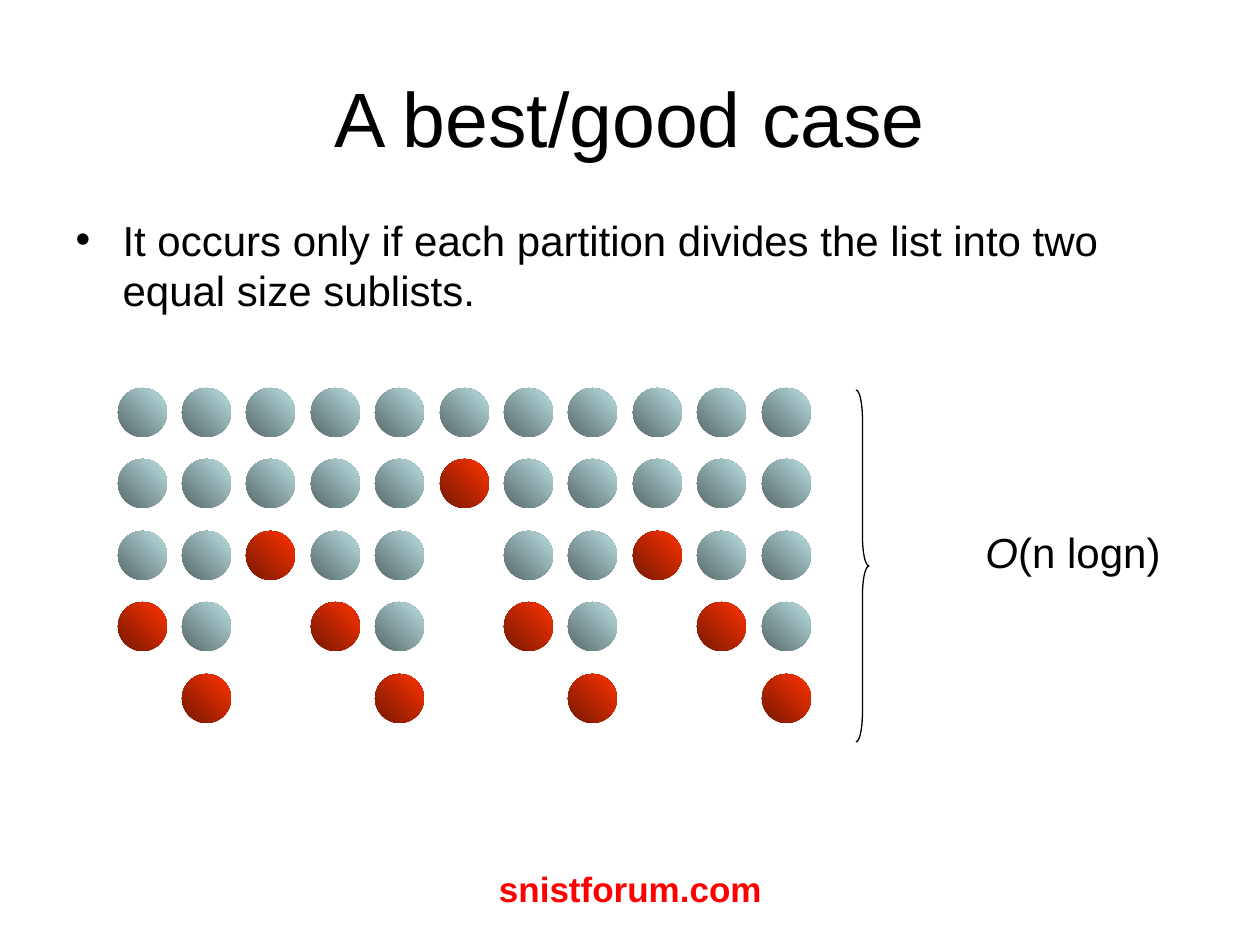
from lxml import etree
from pptx import Presentation
from pptx import util as u
from pptx.dml.color import RGBColor
from pptx.enum import shapes, text
from pptx.oxml import ns

EMU_PER_PX = 914400 / 126
FONT = "Arial"
COLOURS = {
    "text": "000000",
    "paper": "FFFFFF",
    "footer": "FF0000",
}
BALL_SHADES = {
    "o": ("576869", "BBE0E3"),  # element of a list
    "x": ("761800", "FF3300"),  # pivot
}
PARTITION_ROWS = [
    "ooooooooooo",
    "oooooxooooo",
    "ooxoo ooxoo",
    "xo xo xo xo",
    " x  x  x  x",
]
BALL_SIZE = 49


def px(length):
    return u.Emu(round(length * EMU_PER_PX))


def colour(name):
    return RGBColor.from_string(COLOURS[name])


def place(box, left, top, width, height):
    box.left, box.top, box.width, box.height = map(px, (left, top, width, height))


def format_text(box, size, name="text", align=None, bold=False):
    for para in box.text_frame.paragraphs:
        para.alignment = align
        for span in para.runs:
            span.font.name = FONT
            span.font.size = u.Pt(size)
            span.font.bold = bold
            span.font.color.rgb = colour(name)


def add_title(page, words):
    title = page.shapes.title
    place(title, 63, 38, 1134, 157)
    title.text_frame.text = words
    title.text_frame.vertical_anchor = text.MSO_ANCHOR.MIDDLE
    format_text(title, 44, align=text.PP_ALIGN.CENTER)


def add_bullet_list(page, items):
    body = page.placeholders[1]
    place(body, 63, 208, 1134, 624)
    body.text_frame.text = "\n".join(items)
    for para in body.text_frame.paragraphs:
        props = para._p.get_or_add_pPr()
        props.set("marL", str(px(47)))
        props.set("indent", str(px(-47)))
        etree.SubElement(props, ns.qn("a:buChar"), char="•")
    format_text(body, 24, align=text.PP_ALIGN.LEFT)


def add_ball(group, left, top, shades):
    ball = group.shapes.add_shape(
        shapes.MSO_SHAPE.OVAL, px(left), px(top), px(BALL_SIZE), px(BALL_SIZE))
    ball.shadow.inherit = False
    ball.line.fill.background()
    ball.fill.gradient()
    ball.fill.gradient_angle = 45
    for stop, shade in zip(ball.fill.gradient_stops, shades):
        stop.color.rgb = RGBColor.from_string(shade)
    for stop, position in zip(ball.fill.gradient_stops, (0, 1)):
        stop.position = position


def add_partition_grid(page):
    group = page.shapes.add_group_shape()
    for row, marks in enumerate(PARTITION_ROWS):
        for column, mark in enumerate(marks):
            if mark in BALL_SHADES:
                left = 118 + column * 644 // 10
                top = 388 + row * 286 // 4
                add_ball(group, left, top, BALL_SHADES[mark])


def add_brace(page):
    brace = page.shapes.add_shape(
        shapes.MSO_SHAPE.RIGHT_BRACE, px(856), px(390), px(13), px(352))
    brace.adjustments[0] = 2.25
    brace.shadow.inherit = False
    brace.fill.background()
    brace.line.color.rgb = colour("text")
    brace.line.width = u.Pt(0.75)


def add_complexity(page):
    box = page.shapes.add_shape(
        shapes.MSO_SHAPE.RECTANGLE, px(955), px(512), px(236), px(79))
    box.shadow.inherit = False
    box.fill.solid()
    box.fill.fore_color.rgb = colour("paper")
    box.line.color.rgb = colour("paper")
    box.line.width = u.Pt(0.75)
    box.text_frame.word_wrap = False
    box.text_frame.vertical_anchor = text.MSO_ANCHOR.MIDDLE
    para = box.text_frame.paragraphs[0]
    for words, italic in (("O", True), ("(n logn)", False)):
        span = para.add_run()
        span.text = words
        span.font.italic = italic
    format_text(box, 24, align=text.PP_ALIGN.CENTER)


def add_footer(page, words):
    box = page.shapes.add_textbox(px(431), px(861), px(399), px(66))
    box.text_frame.word_wrap = True
    box.text_frame.text = words
    format_text(box, 20, "footer", text.PP_ALIGN.CENTER, bold=True)


def main():
    deck = Presentation()
    deck.slide_width, deck.slide_height = px(1260), px(945)
    page = deck.slides.add_slide(deck.slide_layouts[1])

    # Heading and statement
    add_title(page, "A best/good case")
    add_bullet_list(page, [
        "It occurs only if each partition divides the list into two "
        "equal size sublists."])

    # Partition diagram with its cost
    add_partition_grid(page)
    add_brace(page)
    add_complexity(page)

    # Footer
    add_footer(page, "snistforum.com")
    deck.save("out.pptx")


if __name__ == "__main__":
    main()
